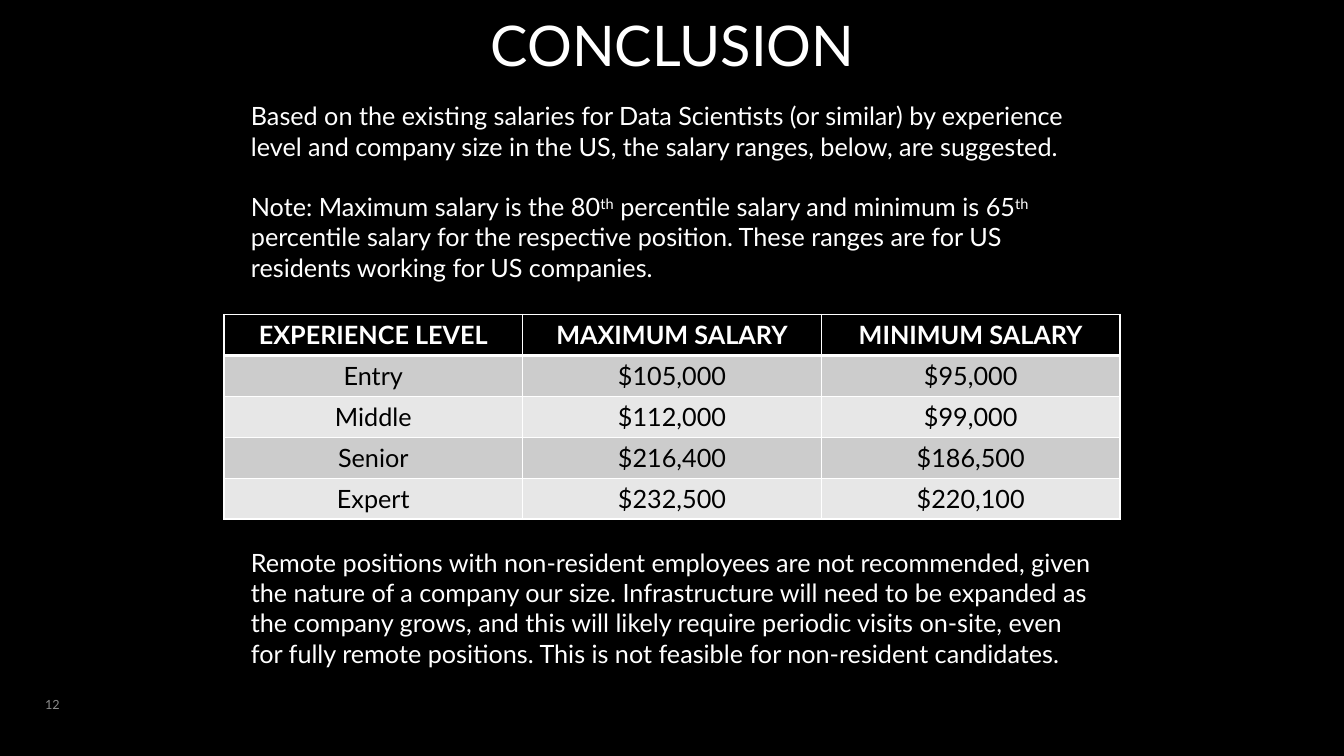
from lxml.etree import SubElement
from pptx import Presentation
from pptx.dml.color import RGBColor
from pptx.enum.text import MSO_ANCHOR, PP_ALIGN
from pptx.oxml.ns import qn
from pptx.util import Inches, Pt

WIDTH, HEIGHT = 13.33, 7.5
FONT = "Lato"
BLACK, WHITE, GREY = "000000", "FFFFFF", "8C8C8C"
BANDS = ("CCCCCC", "E7E7E7")
BODY_SIZE = 18
TEXT_LEFT, TEXT_WIDTH = 2.39, 8.55

INTRO = [
    ["Based on the existing salaries for Data Scientists (or similar) by experience level "
     "and company size in the US, the salary ranges, below, are suggested."],
    ["Note: Maximum salary is the 80", "th", " percentile salary and minimum is 65", "th",
     " percentile salary for the respective position. These ranges are for US residents "
     "working for US companies."],
]
REMOTE = [
    ["Remote positions with non-resident employees are not recommended, given the nature of "
     "a company our size. Infrastructure will need to be expanded as the company grows, and "
     "this will likely require periodic visits on-site, even for fully remote positions. "
     "This is not feasible for non-resident candidates."],
]
SALARIES = [
    ("EXPERIENCE LEVEL", "MAXIMUM SALARY", "MINIMUM SALARY"),
    ("Entry", "$105,000", "$95,000"),
    ("Middle", "$112,000", "$99,000"),
    ("Senior", "$216,400", "$186,500"),
    ("Expert", "$232,500", "$220,100"),
]


def color(value):
    """Turn a hex string into a colour."""
    return RGBColor.from_string(value)


def style(para, size, ink, align, bold=False):
    """Set the font and alignment of a paragraph."""
    para.alignment = align
    para.font.name = FONT
    para.font.size = Pt(size)
    para.font.bold = bold
    para.font.color.rgb = color(ink)


def add_text(page, box, paragraphs, size=BODY_SIZE, ink=WHITE, align=PP_ALIGN.LEFT,
             anchor=MSO_ANCHOR.TOP, spacing=1.0):
    """Place paragraphs in a box, raising each ordinal suffix and leaving a line between."""
    frame = page.shapes.add_textbox(*map(Inches, box)).text_frame
    frame.word_wrap = True
    frame.vertical_anchor = anchor
    for index, pieces in enumerate(paragraphs):
        para = frame.add_paragraph() if index else frame.paragraphs[0]
        style(para, size, ink, align)
        para.line_spacing = spacing
        para.space_before = Pt(size * 1.2 if index else 0)
        for piece in pieces:
            span = para.add_run()
            span.text = piece
            if piece == "th":
                span._r.get_or_add_rPr().set("baseline", "30000")


def add_borders(cell, widths):
    """Draw white borders of the given widths in points on the sides of a cell."""
    properties = cell._tc.get_or_add_tcPr()
    for side, width in widths.items():
        line = SubElement(properties, qn(f"a:ln{side}"), w=str(Pt(width)))
        fill = SubElement(line, qn("a:solidFill"))
        SubElement(fill, qn("a:srgbClr"), val=WHITE)


def add_salary_table(page, box, rows):
    """Place the salary table with equal columns and rows in a box."""
    table = page.shapes.add_table(len(rows), len(rows[0]), *map(Inches, box)).table
    for row, values in enumerate(rows):
        header = row == 0
        for column, value in enumerate(values):
            cell = table.cell(row, column)
            add_borders(cell, {"L": 1, "R": 1, "T": 3 if row == 1 else 1, "B": 3 if header else 1})
            cell.fill.solid()
            cell.fill.fore_color.rgb = color(BLACK if header else BANDS[(row - 1) % 2])
            cell.text = value
            style(cell.text_frame.paragraphs[0], BODY_SIZE, WHITE if header else BLACK,
                  PP_ALIGN.CENTER, header)


def add_conclusion(deck):
    """Add the conclusion slide."""
    page = deck.slides.add_slide(deck.slide_layouts[6])
    page.background.fill.solid()
    page.background.fill.fore_color.rgb = color(BLACK)
    add_text(page, (0, 6.83, 0.69, 0.32), [["12"]], 9, GREY, PP_ALIGN.RIGHT, MSO_ANCHOR.MIDDLE)
    add_text(page, (4.52, 0.19, 4.3, 0.64), [["CONCLUSION"]], 40, WHITE, PP_ALIGN.CENTER,
             MSO_ANCHOR.BOTTOM, 0.9)
    add_salary_table(page, (WIDTH / 6, 3.12, WIDTH * 2 / 3, 2.03), SALARIES)
    add_text(page, (TEXT_LEFT, 0.95, TEXT_WIDTH, 2.22), INTRO)
    add_text(page, (TEXT_LEFT, 5.38, TEXT_WIDTH, 1.62), REMOTE)


def main():
    """Build and save the deck."""
    deck = Presentation()
    deck.slide_width, deck.slide_height = Inches(WIDTH), Inches(HEIGHT)
    add_conclusion(deck)
    deck.save("out.pptx")


if __name__ == "__main__":
    main()
